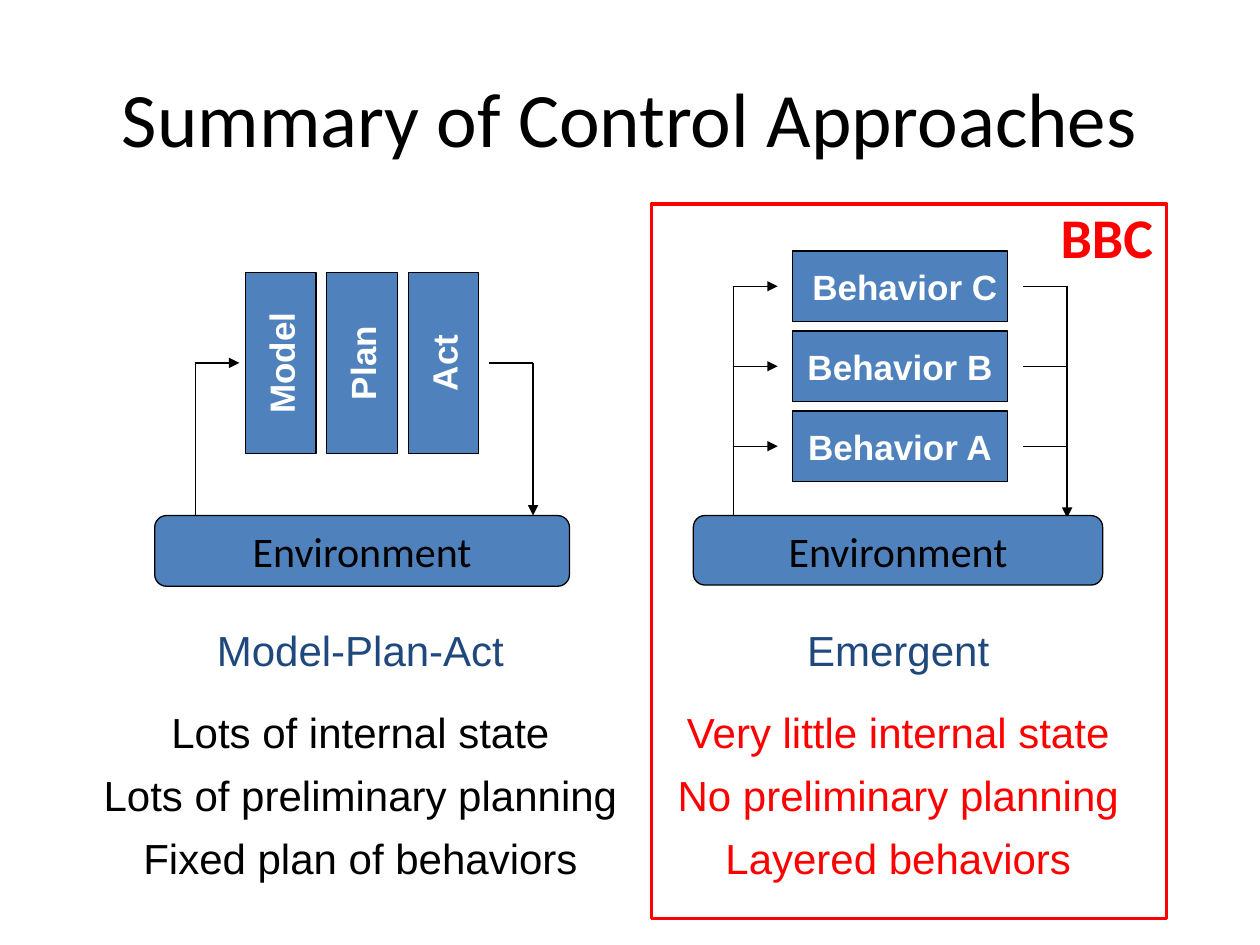
import pptx
import pptx.util
import pptx.dml.color
import pptx.enum.shapes
import pptx.enum.text
import pptx.oxml.ns
import lxml.etree

Pt = pptx.util.Pt
SHAPE = pptx.enum.shapes.MSO_SHAPE
ALIGN = pptx.enum.text.PP_ALIGN
ANCHOR = pptx.enum.text.MSO_ANCHOR
qn = pptx.oxml.ns.qn

COLORS = {"black": "000000", "white": "FFFFFF", "blue": "4F81BD",
          "navy": "1F497D", "red": "FF0000"}


def rgb(name):
    return pptx.dml.color.RGBColor.from_string(COLORS[name])


class Deck:
    """Holds the style and the current slide."""
    line_width = 0.75

    def __init__(self, width, height):
        self.prs = pptx.Presentation()
        self.prs.slide_width, self.prs.slide_height = Pt(width), Pt(height)
        self.s = self.prs.slides.add_slide(self.prs.slide_layouts[6])

    def label(self, sp, text, size, font, color, bold=False,
              align=ALIGN.CENTER, anchor=ANCHOR.MIDDLE, wrap=True):
        tf = sp.text_frame
        tf.word_wrap = wrap
        tf.vertical_anchor = anchor
        tf.text = text
        p = tf.paragraphs[0]
        p.alignment = align
        r = p.runs[0]
        r.font.size, r.font.name, r.font.bold = Pt(size), font, bold
        r.font.color.rgb = rgb(color)

    def text(self, x, y, w, h, text, size, font, color, anchor=ANCHOR.TOP, **style):
        sp = self.s.shapes.add_textbox(Pt(x), Pt(y), Pt(w), Pt(h))
        self.label(sp, text, size, font, color, anchor=anchor, **style)

    def shape(self, kind, x, y, w, h, fill="blue", line="black", width=line_width):
        sp = self.s.shapes.add_shape(kind, Pt(x), Pt(y), Pt(w), Pt(h))
        sp.shadow.inherit = False
        if fill:
            sp.fill.solid()
            sp.fill.fore_color.rgb = rgb(fill)
        else:
            sp.fill.background()
        sp.line.color.rgb = rgb(line)
        sp.line.width = Pt(width)
        return sp

    def module(self, x, y, w, h, name, rotation=0, inset=7.2):
        sp = self.shape(SHAPE.RECTANGLE, x, y, w, h)
        sp.rotation = rotation
        sp.text_frame.margin_left = sp.text_frame.margin_right = Pt(inset)
        self.label(sp, name, 20, "Arial", "white", bold=True)

    def environment(self, x, y, w, h):
        sp = self.shape(SHAPE.ROUNDED_RECTANGLE, x, y, w, h)
        sp.adjustments[0] = 0.167
        self.label(sp, "Environment", 24, "Calibri", "black", wrap=False)

    def line(self, x1, y1, x2, y2, arrow=False):
        c = self.s.shapes.add_connector(pptx.enum.shapes.MSO_CONNECTOR.STRAIGHT,
                                        Pt(x1), Pt(y1), Pt(x2), Pt(y2))
        c.line.color.rgb = rgb("black")
        c.line.width = Pt(self.line_width)
        properties = c.element.spPr
        if arrow:
            lxml.etree.SubElement(properties.find(qn("a:ln")), qn("a:tailEnd"),
                                  type="triangle")
        lxml.etree.SubElement(properties, qn("a:effectLst"))


d = Deck(720, 540)

# Title
d.text(36, 21.6, 648, 90, "Summary of Control Approaches", 44, "Calibri", "black",
       anchor=ANCHOR.MIDDLE)

STUB = 25.2    # length of each horizontal line beside the modules
ENV_TOP = 294.6

# Model-Plan-Act loop
MID = 207.4
for i, name in enumerate(["Model", "Plan", "Act"]):
    d.module(108.6 + 46.5 * i, MID - 20.2, 103.7, 40.4, name, rotation=270)
d.line(111.6, MID, 111.6 + STUB, MID, arrow=True)
d.line(111.6, MID, 111.6, ENV_TOP)
d.line(304.6 - STUB, MID, 304.6, MID)
d.line(304.6, MID, 304.6, ENV_TOP, arrow=True)
d.environment(88.4, ENV_TOP, 237, 40.4)

# Emergent loop: parallel behaviors
for i, (name, inset) in enumerate([(" Behavior C", 0), ("Behavior B", 7.2),
                                   ("Behavior A", 7.2)]):
    mid = 163.6 + 45.7 * i
    d.module(453, mid - 20.2, 122.6, 40.4, name, inset=inset)
    d.line(419.2, mid, 419.2 + STUB, mid, arrow=True)
    d.line(609.8 - STUB, mid, 609.8, mid)
d.line(419.2, 163.6, 419.2, ENV_TOP + 5)
d.line(609.8, 163.6, 609.8, ENV_TOP + 1.3, arrow=True)
d.environment(396.2, ENV_TOP, 233.9, 39.7)

# Captions and traits of both approaches
ROWS = [(353.5, "Model-Plan-Act", "Emergent", "navy", "navy"),
        (400.3, "Lots of internal state", "Very little internal state", "black", "red"),
        (436.3, "Lots of preliminary planning", "No preliminary planning", "black", "red"),
        (472.3, "Fixed plan of behaviors", "Layered behaviors", "black", "red")]
for y, left, right, left_color, right_color in ROWS:
    d.text(34, y, 344, 36, left, 24, "Arial", left_color)
    d.text(372.2, y, 282.2, 36, right, 24, "Arial", right_color)

# Highlight frame
d.shape(SHAPE.RECTANGLE, 372.2, 116.6, 294.5, 408.2, fill=None, line="red", width=2)
d.text(599, 112.3, 90, 46, "BBC", 32, "Calibri", "red", bold=True, align=ALIGN.LEFT)

d.prs.save("out.pptx")
